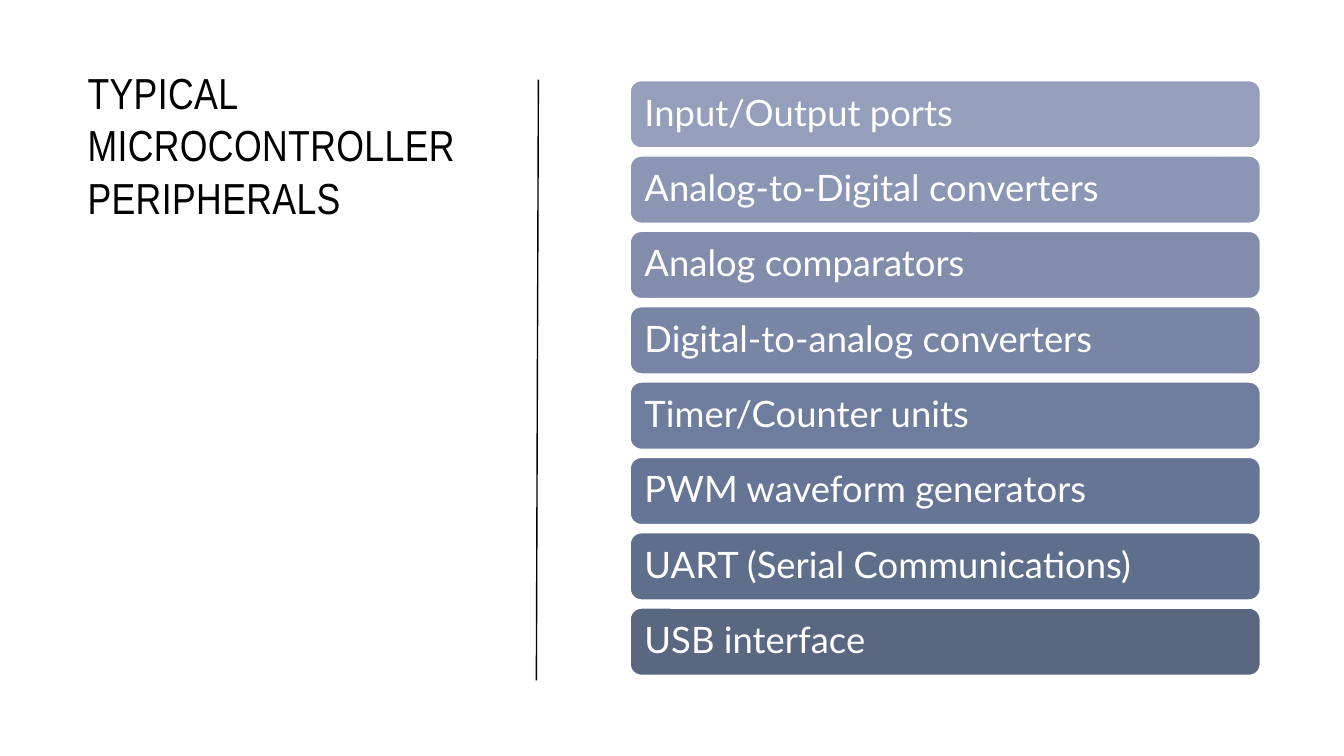
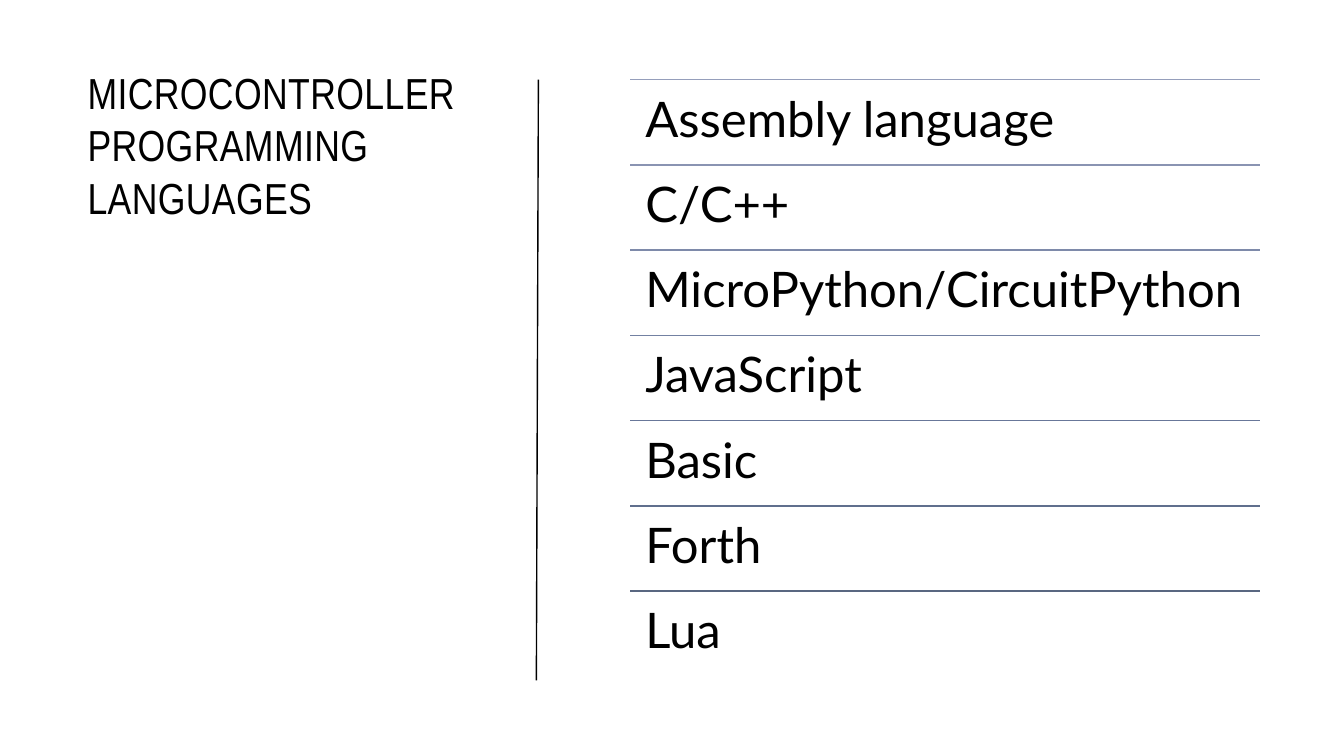
from collections import namedtuple

from lxml import etree
from pptx import Presentation
from pptx import util as u
from pptx.dml.color import RGBColor
from pptx.enum import shapes, text
from pptx.oxml.ns import qn

Box = namedtuple("Box", "left top width height")

SLIDE_WIDTH, SLIDE_HEIGHT = 13.33, 7.5
TITLE_BOX = Box(0.77, 0.61, 3.96, 4.99)
DIVIDER_BOX = Box(5.32, 0.79, 0.02, 5.96)
PANEL = Box(6.25, 0.79, 6.25, 5.92)

BLACK = RGBColor(0x00, 0x00, 0x00)
WHITE = RGBColor(0xFF, 0xFF, 0xFF)
RAMP_LIGHT = RGBColor(0x95, 0x9E, 0xBB)
RAMP_MIDDLE = RGBColor(0x68, 0x77, 0x99)
RAMP_DARK = RGBColor(0x59, 0x67, 0x81)
RAMP_BEND = 2 / 3

TITLE_FONT, BODY_FONT = "Arial Narrow", "Lato"

PERIPHERALS = [
    "Input/Output ports",
    "Analog-to-Digital converters",
    "Analog comparators",
    "Digital-to-analog converters",
    "Timer/Counter units",
    "PWM waveform generators",
    "UART (Serial Communications)",
    "USB interface",
]
LANGUAGES = [
    "Assembly language",
    "C/C++",
    "MicroPython/CircuitPython",
    "JavaScript",
    "Basic",
    "Forth",
    "Lua",
]


def ramp_color(index, count):
    """Colour of one item on the light-to-dark ramp, which bends once."""
    share = index / (count - 1)
    if share <= RAMP_BEND:
        start, end, part = RAMP_LIGHT, RAMP_MIDDLE, share / RAMP_BEND
    else:
        start, end = RAMP_MIDDLE, RAMP_DARK
        part = (share - RAMP_BEND) / (1 - RAMP_BEND)
    return RGBColor(*(round(a + (b - a) * part) for a, b in zip(start, end)))


def split_rows(box, count, gap=0.0):
    """Equal rows that fill the box from top to bottom."""
    height = (box.height - gap * (count - 1)) / count
    return [
        Box(box.left, box.top + row * (height + gap), box.width, height)
        for row in range(count)
    ]


def inches(box):
    return [u.Inches(length) for length in box]


def add_line(parent, start, end, color):
    line = parent.add_connector(
        shapes.MSO_CONNECTOR.STRAIGHT, *(u.Inches(v) for v in (*start, *end))
    )
    line.line.color.rgb = color
    line.line.width = u.Pt(1)
    etree.SubElement(line._element.spPr, qn("a:effectLst"))


def write_text(shape, words, font, size, color, inset=None, line_spacing=None,
               anchor=text.MSO_ANCHOR.TOP):
    frame = shape.text_frame
    frame.word_wrap = True
    frame.vertical_anchor = anchor
    if inset is not None:
        frame.margin_left = frame.margin_right = u.Inches(inset)
        frame.margin_top = frame.margin_bottom = u.Inches(inset)
    paragraph = frame.paragraphs[0]
    paragraph.alignment = text.PP_ALIGN.LEFT
    paragraph.line_spacing = line_spacing
    run = paragraph.add_run()
    run.text = words
    run.font.name = font
    run.font.size = u.Pt(size)
    run.font.color.rgb = color
    return run


def add_title(slide, box, words):
    run = write_text(slide.shapes.add_textbox(*inches(box)), words,
                     TITLE_FONT, 31, BLACK)
    run._r.get_or_add_rPr().set("spc", "30")


def add_divider(slide, box):
    """Slightly slanted rule from bottom left to top right of the box."""
    add_line(slide.shapes, (box.left, box.top + box.height),
             (box.left + box.width, box.top), BLACK)


def add_bar_list(slide, box, items):
    group = slide.shapes.add_group_shape().shapes
    inner = Box(box.left, box.top + 0.01, box.width, box.height - 0.02)
    for index, row in enumerate(split_rows(inner, len(items), gap=0.08)):
        bar = group.add_shape(shapes.MSO_SHAPE.ROUNDED_RECTANGLE, *inches(row))
        bar.shadow.inherit = False
        bar.fill.solid()
        bar.fill.fore_color.rgb = ramp_color(index, len(items))
        bar.line.color.rgb = WHITE
        bar.line.width = u.Pt(1)
        write_text(bar, items[index], BODY_FONT, 26, WHITE, inset=0.11,
                   line_spacing=0.9, anchor=text.MSO_ANCHOR.MIDDLE)


def add_ruled_list(slide, box, items):
    group = slide.shapes.add_group_shape().shapes
    for index, row in enumerate(split_rows(box, len(items))):
        add_line(group, (row.left, row.top), (row.left + row.width, row.top),
                 ramp_color(index, len(items)))
        write_text(group.add_textbox(*inches(row)), items[index], BODY_FONT,
                   35, BLACK, inset=0.15, line_spacing=0.9)


def add_list_slide(presentation, title, add_list, items):
    slide = presentation.slides.add_slide(presentation.slide_layouts[6])
    add_title(slide, TITLE_BOX, title)
    add_divider(slide, DIVIDER_BOX)
    add_list(slide, PANEL, items)


def main():
    presentation = Presentation()
    presentation.slide_width = u.Inches(SLIDE_WIDTH)
    presentation.slide_height = u.Inches(SLIDE_HEIGHT)
    add_list_slide(presentation, "TYPICAL MICROCONTROLLER PERIPHERALS",
                   add_bar_list, PERIPHERALS)
    add_list_slide(presentation, "MICROCONTROLLER PROGRAMMING LANGUAGES",
                   add_ruled_list, LANGUAGES)
    presentation.save("out.pptx")


if __name__ == "__main__":
    main()
